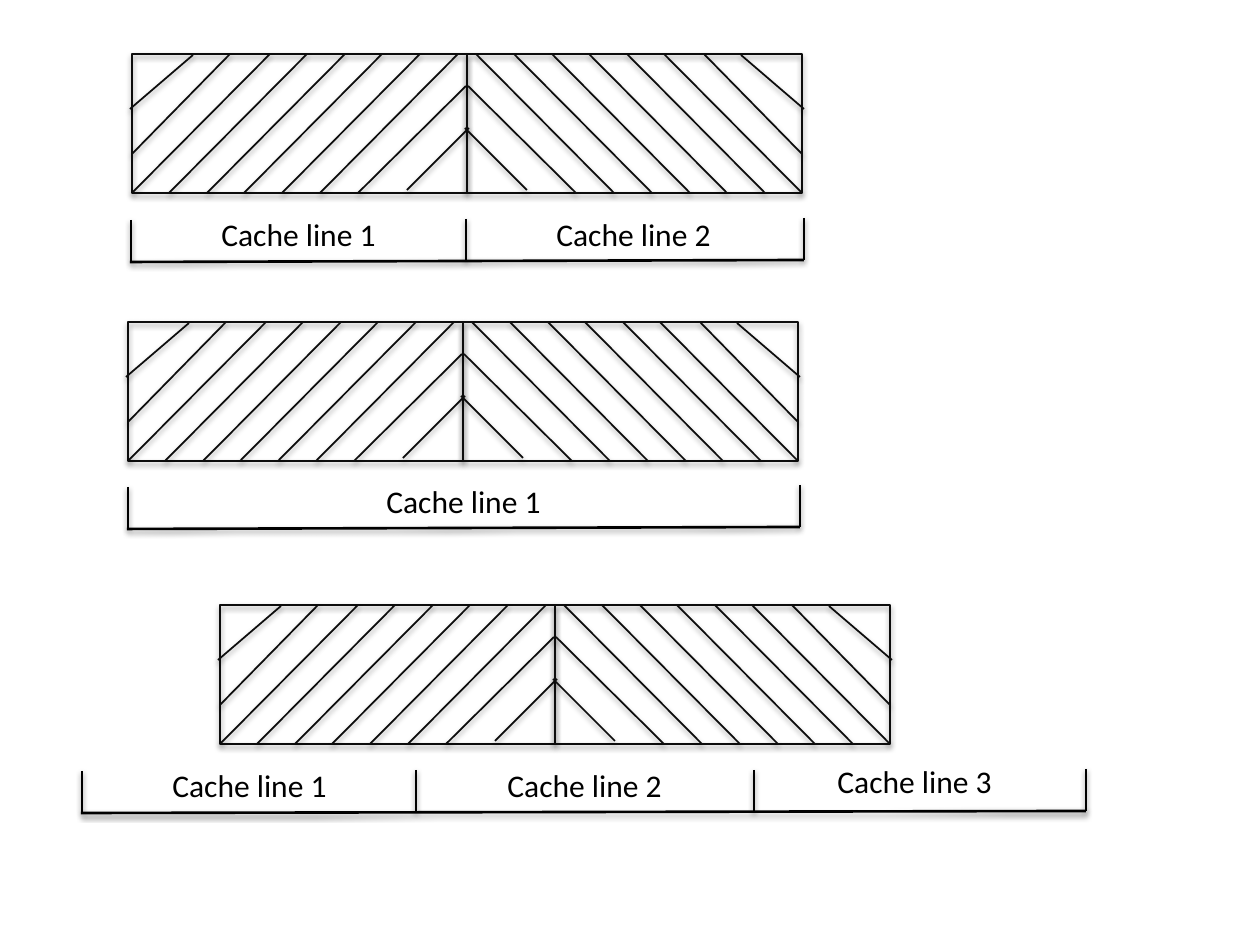
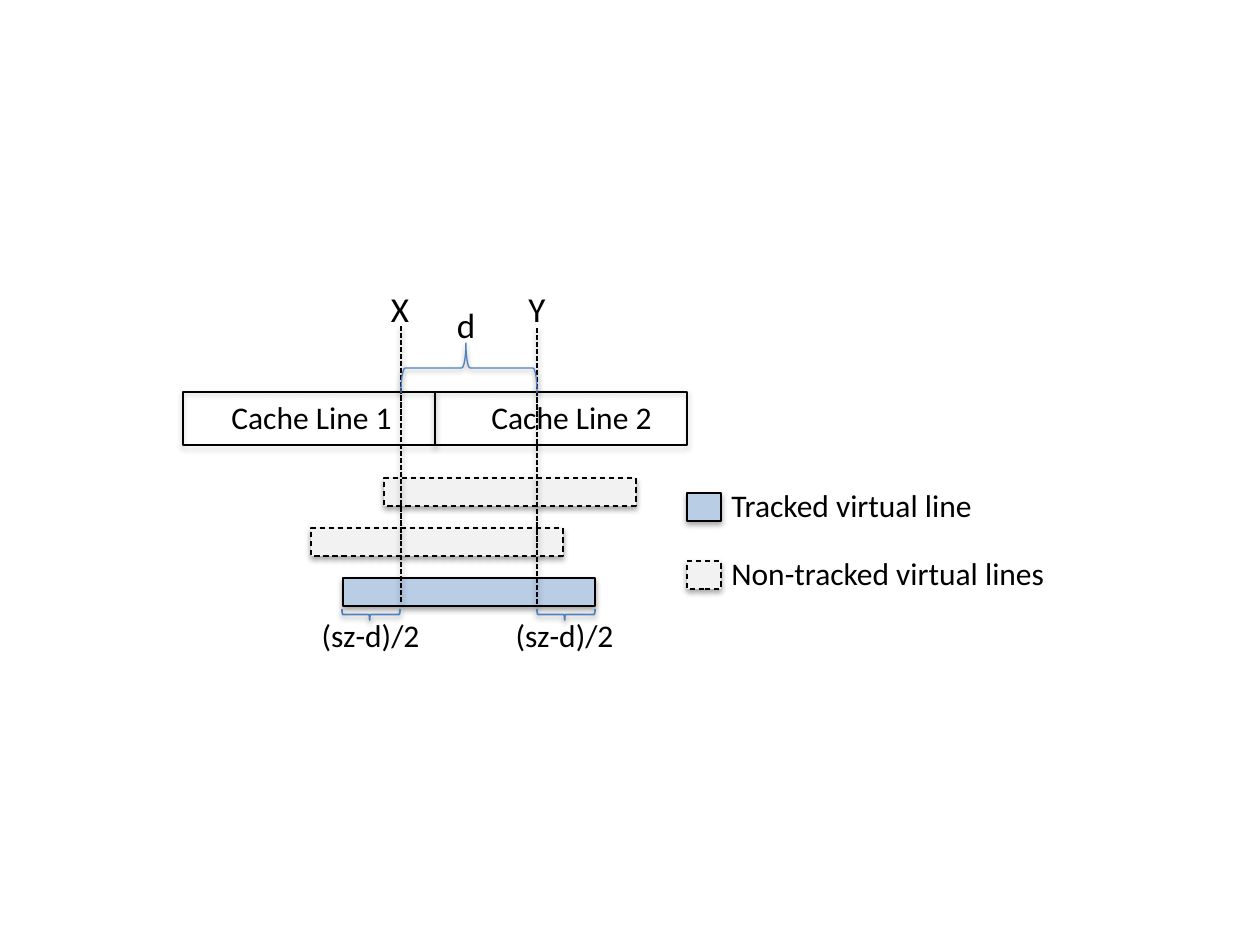
from dataclasses import dataclass

from lxml import etree
from pptx import Presentation
from pptx import util as u
from pptx.dml.color import RGBColor
from pptx.enum import dml, shapes, text
from pptx.oxml.ns import qn

SCALE = 914400 / 126  # EMU in one pixel


def px(n):
    return u.Emu(round(n * SCALE))


@dataclass(frozen=True)
class Theme:
    font: str = "Calibri"
    black: str = "000000"
    ink: str = "0D0D0D"
    brace: str = "4F81BD"
    tracked: str = "B9CDE5"
    untracked: str = "F2F2F2"
    label: int = 18
    symbol: int = 20


class Deck:
    """Holds the theme and the slide or group being drawn on."""

    def __init__(self, theme):
        self.t = theme
        self.prs = Presentation()
        self.prs.slide_width, self.prs.slide_height = u.Inches(10), u.Inches(7.5)

    def new_slide(self):
        self.slide = self.prs.slides.add_slide(self.prs.slide_layouts[6])
        self.shapes = self.slide.shapes

    def group(self):
        self.shapes = self.slide.shapes.add_group_shape().shapes

    def outline(self, sp, color, width, dash=None):
        sp.line.color.rgb = RGBColor.from_string(color)
        sp.line.width = u.Pt(width)
        if dash:
            sp.line.dash_style = dash

    def shadow(self, sp, dist=20000, alpha=38000):
        effects = etree.SubElement(sp.element.spPr, qn("a:effectLst"))
        outer = etree.SubElement(effects, qn("a:outerShdw"), blurRad="40000",
                                 dist=str(dist), dir="5400000", rotWithShape="0")
        clr = etree.SubElement(outer, qn("a:srgbClr"), val=self.t.black)
        etree.SubElement(clr, qn("a:alpha"), val=str(alpha))

    def line(self, x1, y1, x2, y2, color, width, dash=None):
        c = self.shapes.add_connector(shapes.MSO_CONNECTOR.STRAIGHT,
                                      px(x1), px(y1), px(x2), px(y2))
        self.outline(c, color, width, dash)
        self.shadow(c)

    def rect(self, x, y, w, h, fill=None, color=None, width=0.75, dash=None):
        sp = self.shapes.add_shape(shapes.MSO_SHAPE.RECTANGLE,
                                   px(x), px(y), px(w), px(h))
        if fill:
            sp.fill.solid()
            sp.fill.fore_color.rgb = RGBColor.from_string(fill)
        else:
            sp.fill.background()
        self.outline(sp, color or self.t.black, width, dash)
        self.shadow(sp, 23000, 35000)

    def brace(self, x, y, w, h, up=False, width=1.0):
        """Horizontal brace filling the given box, tip up or down."""
        cx, cy = x + w / 2, y + h / 2
        sp = self.shapes.add_shape(shapes.MSO_SHAPE.LEFT_BRACE, px(cx - h / 2),
                                   px(cy - w / 2), px(h), px(w))
        sp.rotation = 90 if up else 270
        sp.adjustments[0] = 0.083
        sp.adjustments[1] = 0.523 if up else 0.477
        sp.fill.background()
        self.outline(sp, self.t.brace, width)
        self.shadow(sp)

    def text(self, x, y, w, h, words, size=None, center=False, wrap=True, tight=True):
        tf = self.shapes.add_textbox(px(x), px(y), px(w), px(h)).text_frame
        tf.word_wrap = wrap
        tf.auto_size = text.MSO_AUTO_SIZE.SHAPE_TO_FIT_TEXT
        if tight:
            tf.margin_top = tf.margin_bottom = 0
        p = tf.paragraphs[0]
        p.text = words
        p.alignment = text.PP_ALIGN.CENTER if center else text.PP_ALIGN.LEFT
        p.font.name = self.t.font
        p.font.size = u.Pt(size or self.t.label)
        p.font.color.rgb = RGBColor.from_string(self.t.black)

    def hatched_pair(self, x, y):
        """Two adjoining blocks whose hatching mirrors about the shared edge."""
        w, h = 335, 139
        hatch = [(188 * k // 5, h, 188 * k // 5 + 138, 0) for k in range(6)]
        hatch += [(226, h, 334, 32), (0, 100, 98, 0), (-2, 55, 61, 1), (275, 136, 337, 74)]
        for left, origin, sign in ((x, x, 1), (x + w, x + 2 * w, -1)):
            self.rect(left, y, w, h, color=self.t.ink, width=1.5)
            for x1, y1, x2, y2 in hatch:
                self.line(origin + sign * x1, y + y1, origin + sign * x2, y + y2,
                          self.t.ink, 1)

    def bracket(self, ticks, y, rise=2, height=42):
        """Base line that rises slightly to the right, with upright ticks."""
        first, last = ticks[0], ticks[-1]
        self.line(first - 1, y, last, y - rise, self.t.black, 1.5)
        for x in ticks:
            foot = y - round(rise * (x - first) / (last - first))
            self.line(x, foot - height, x, foot, self.t.black, 1.5)


t = Theme()
d = Deck(t)

# Slide 1: three placements of a block pair over cache lines
d.new_slide()
placements = [
    # block corner, bracket ticks, bracket base, label corners
    ((132, 54), (131, 466, 804), 262, ((209, 209), (544, 209))),
    ((128, 322), (128, 800), 529, ((374, 476),)),
    ((220, 605), (82, 416, 754, 1086), 813, ((160, 760), (495, 760), (825, 756))),
]
for corner, ticks, base, labels in placements:
    d.group()
    d.hatched_pair(*corner)
    d.bracket(ticks, base)
    for n, (x, y) in enumerate(labels, 1):
        d.text(x, y, 181, 50, f"Cache line {n}", wrap=False, tight=False)

# Slide 2: tracked and non-tracked virtual lines
d.new_slide()
d.group()
LINE_W, BAR_H = 252, 28
DASH = dml.MSO_LINE.DASH
tracked = dict(fill=t.tracked)
untracked = dict(fill=t.untracked, dash=DASH)

# Virtual lines
for i, (x, style) in enumerate([(384, untracked), (311, untracked), (343, tracked)]):
    d.rect(x, 478 + 50 * i, LINE_W, BAR_H, **style)

# Cache lines
for n, (x, label_x) in enumerate([(183, 219), (435, 479)], 1):
    d.text(label_x, 392, 188, 50, f"Cache Line {n}", wrap=False, tight=False)
    d.rect(x, 392, LINE_W, 53)

# Accesses X and Y with the margins beside them
for name, x, top, label_x, brace_x, margin_x in [
        ("X", 401, 326, 370, 342, 291), ("Y", 537, 328, 507, 537, 485)]:
    d.line(x, top, x, top + 277, t.black, 1, dml.MSO_LINE.SQUARE_DOT)
    d.text(label_x, 287, 60, 43, name, t.symbol, center=True)
    d.brace(brace_x, 609, 58, 11)
    d.text(margin_x, 616, 159, 38, "(sz-d)/2", center=True)

# Distance between the accesses
d.brace(401, 343, 136, 50, up=True, width=0.75)
d.text(440, 297, 52, 55, "d", t.symbol, center=True, tight=False)

# Legend
for y, words, style in [(493, "Tracked virtual line", tracked),
                        (561, "Non-tracked virtual lines", untracked)]:
    d.rect(687, y, 34, BAR_H, **style)
    d.text(719, y - 7, 378, 38, words)

d.prs.save("out.pptx")
